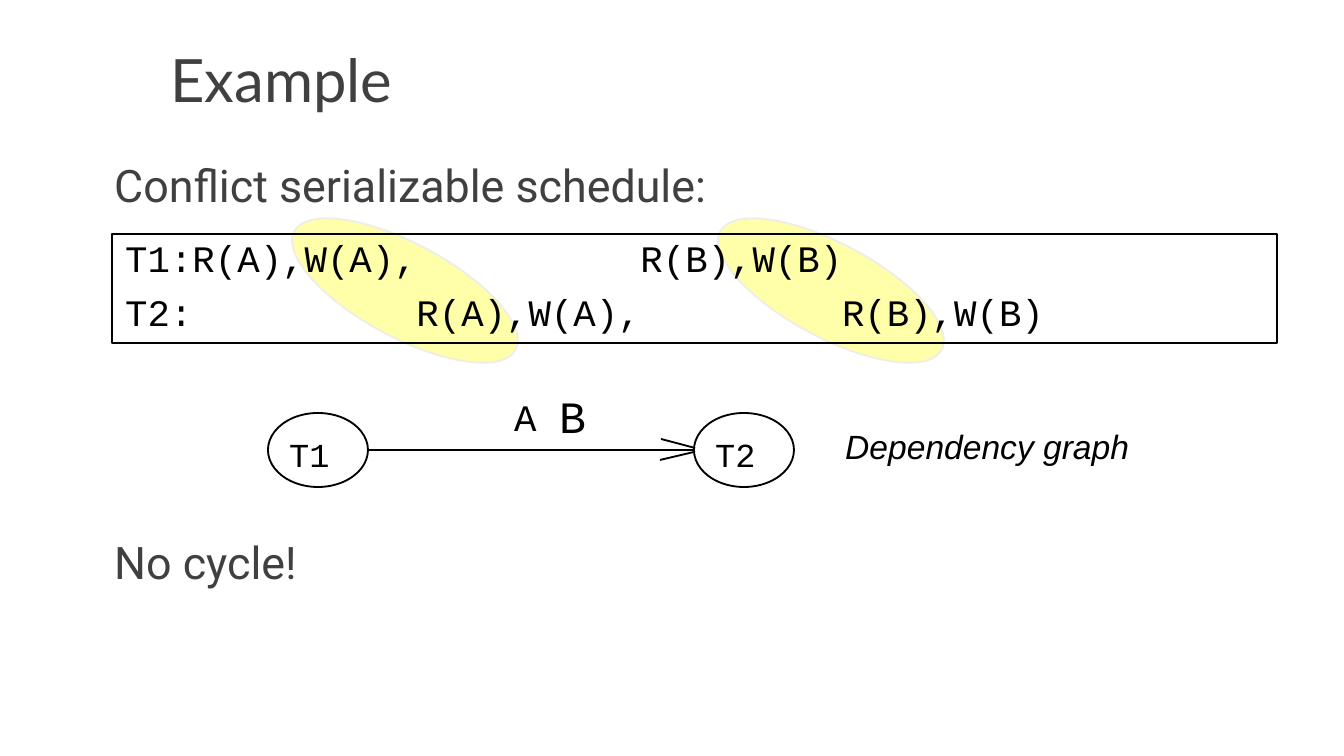
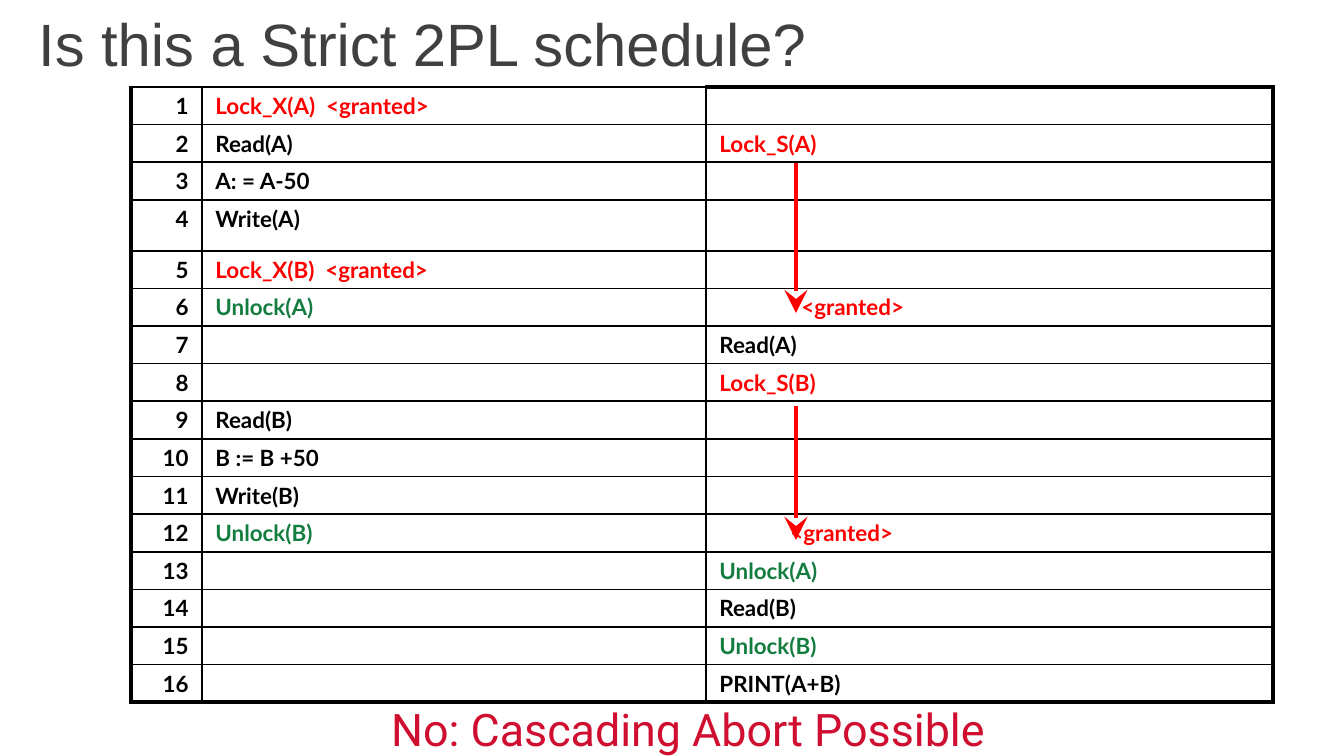
import pptx
import pptx.util
import pptx.dml.color
import pptx.enum.shapes
import pptx.enum.text
import pptx.oxml.ns
import lxml.etree

EMU_PER_PX = 914400 / 134.4
COLORS = {"text": "404040", "black": "000000", "red": "FF0000", "green": "137D40",
          "answer": "CF0E30", "highlight": "FFFFAA", "highlight_edge": "EEEDE7"}
MONO, SANS, LATO, BODY = "Courier New", "Arial", "Lato", "Roboto"
SHAPES = pptx.enum.shapes.MSO_SHAPE
ANCHOR = pptx.enum.text.MSO_ANCHOR


def px(n):
    """Turn pixels into EMU."""
    return pptx.util.Emu(round(n * EMU_PER_PX))


def rgb(name):
    """Look up a named colour."""
    return pptx.dml.color.RGBColor.from_string(COLORS[name])


def sub(parent, tag, **attrs):
    """Append a DrawingML child element."""
    return lxml.etree.SubElement(parent, pptx.oxml.ns.qn("a:" + tag), attrs)


def add_run(p, text, size, font, color, bold=False, italic=False):
    """Append one formatted run to a paragraph."""
    r = p.add_run()
    r.text = text
    r.font.size = pptx.util.Pt(size)
    r.font.name = font
    r.font.color.rgb = rgb(color)
    r.font.bold = bold
    r.font.italic = italic


def add_text(slide, box, text, size, font, color="black", wrap=False,
             anchor=ANCHOR.TOP, italic=False):
    """Add a text box with one paragraph and return its text frame."""
    tf = slide.shapes.add_textbox(*map(px, box)).text_frame
    tf.word_wrap = wrap
    tf.vertical_anchor = anchor
    add_run(tf.paragraphs[0], text, size, font, color, italic=italic)
    return tf


def add_title(slide, box, text, font):
    """Add a slide title, centred vertically in its box."""
    add_text(slide, box, text, 32, font, "text", True, ANCHOR.MIDDLE)


def add_outline(slide, kind, box, fill=None, line="black"):
    """Add a preset shape with a thin outline and an optional fill."""
    sp = slide.shapes.add_shape(kind, *map(px, box))
    sp.shadow.inherit = False
    if fill:
        sp.fill.solid()
        sp.fill.fore_color.rgb = rgb(fill)
    else:
        sp.fill.background()
    sp.line.color.rgb = rgb(line)
    sp.line.width = pptx.util.Pt(1)
    return sp


def add_line(slide, x1, y1, x2, y2, color="black", width=1, stealth=False):
    """Add a straight line, with a large stealth head if asked."""
    cx = slide.shapes.add_connector(pptx.enum.shapes.MSO_CONNECTOR.STRAIGHT,
                                    *map(px, (x1, y1, x2, y2)))
    cx.line.color.rgb = rgb(color)
    cx.line.width = pptx.util.Pt(width)
    if stealth:
        sub(cx.line._get_or_add_ln(), "tailEnd", type="stealth", w="lg", len="lg")
    sub(cx._element.spPr, "effectLst")


def add_highlights(slide, left, top):
    """Add the tilted ellipses that mark the two conflicts."""
    for dx in (0, 426):
        sp = add_outline(slide, SHAPES.OVAL, (left + dx, top, 94, 251),
                         "highlight", "highlight_edge")
        sp.rotation = 298.1


def add_body(slide, box):
    """Add the heading and the conclusion around the schedule and graph."""
    tf = add_text(slide, box, "Conflict serializable schedule:", 24, BODY, "text", True)
    tf.paragraphs[0].space_before = pptx.util.Pt(2)
    p = tf.add_paragraph()
    p.space_before = pptx.util.Pt(173)
    add_run(p, "No cycle!", 24, BODY, "text")


def add_schedule(slide, box):
    """Add the framed schedule, its operations aligned on character columns."""
    char_width = pptx.util.Pt(12)
    lines = [("T1:R(A),W(A),\tR(B),W(B)", (23,), 3),
             ("T2:\tR(A),W(A),\tR(B),W(B)", (13, 32), 7)]
    tf = add_outline(slide, SHAPES.RECTANGLE, box).text_frame
    tf.word_wrap = True
    tf.vertical_anchor = ANCHOR.TOP
    for i, (text, columns, before) in enumerate(lines):
        p = tf.add_paragraph() if i else tf.paragraphs[0]
        p.alignment = pptx.enum.text.PP_ALIGN.LEFT
        p.line_spacing = 0.9
        p.space_before = pptx.util.Pt(before)
        tabs = sub(p._p.get_or_add_pPr(), "tabLst")
        for column in columns:
            sub(tabs, "tab", pos=str(column * char_width), algn="l")
        add_run(p, text, 20, MONO, "black")


def add_graph(slide, left, top):
    """Add the dependency graph: two nodes, an open arrow and its labels."""
    for name, dx in (("T1", 0), ("T2", 426)):
        add_outline(slide, SHAPES.OVAL, (left + dx, top + 31, 100, 74))
        add_text(slide, (left + dx + 8, top + 45, 67, 54), name, 18, MONO)
    tip = left + 427
    add_line(slide, left + 100, top + 68, tip, top + 68)
    add_line(slide, tip - 34, top + 57, tip, top + 66)
    add_line(slide, tip - 35, top + 78, tip - 1, top + 70)
    add_text(slide, (left + 233, top + 6, 50, 58), "A", 20, MONO)
    add_text(slide, (left + 564, top + 37, 321, 54), "Dependency graph", 18, SANS, italic=True)
    add_text(slide, (left + 278, top, 54, 67), "B", 24, MONO)


# Each step: first transaction, second transaction, indent of the second
STEPS = [
    ("Lock_X(A)  <granted>", "", 0),
    ("Read(A)", "Lock_S(A)", 0),
    ("A: = A-50", "", 0),
    ("Write(A)", "", 0),
    ("Lock_X(B)  <granted>", "", 0),
    ("Unlock(A)", "<granted>", 82),
    ("", "Read(A)", 0),
    ("", "Lock_S(B)", 0),
    ("Read(B)", "", 0),
    ("B := B +50", "", 0),
    ("Write(B)", "", 0),
    ("Unlock(B)", "<granted>", 71),
    ("", "Unlock(A)", 0),
    ("", "Read(B)", 0),
    ("", "Unlock(B)", 0),
    ("", "PRINT(A+B)", 0),
]


def step_color(text):
    """Locks and grants are red, unlocks green, the rest black."""
    if text.startswith(("Lock", "<")):
        return "red"
    return "green" if text.startswith("Unlock") else "black"


def set_borders(cell, thick_sides):
    """Draw all four cell borders, the named sides thick."""
    tc_pr = cell._tc.get_or_add_tcPr()
    for i, side in enumerate("LRTB"):
        width = pptx.util.Pt(2.25 if side in thick_sides else 1)
        ln = sub(tc_pr, "ln" + side, w=str(width))
        sub(sub(ln, "solidFill"), "srgbClr", val=COLORS["black"])
        tc_pr.insert(i, ln)


def fill_cell(cell, text, indent=0, right=False):
    """Write one table cell."""
    cell.fill.background()
    cell.margin_left = cell.margin_right = pptx.util.Inches(0.1)
    cell.margin_top = cell.margin_bottom = pptx.util.Inches(0.04)
    p = cell.text_frame.paragraphs[0]
    if right:
        p.alignment = pptx.enum.text.PP_ALIGN.RIGHT
    if indent:
        p._p.get_or_add_pPr().set("marL", str(px(indent)))
    if text:
        add_run(p, text, 12, LATO, step_color(text), bold=True)
    else:
        sub(p._p, "endParaRPr", sz="1200")


def add_steps_table(slide, left, top):
    """Add the numbered steps of both transactions."""
    widths = (71, 504, 567)
    heights = [51 if i == 3 else 37 for i in range(len(STEPS))]
    table = slide.shapes.add_table(len(STEPS), 3, px(left), px(top),
                                   px(sum(widths)), px(sum(heights))).table
    table.first_row = table.horz_banding = False
    for column, width in zip(table.columns, widths):
        column.width = px(width)
    last = len(STEPS) - 1
    for i, (first, second, indent) in enumerate(STEPS):
        table.rows[i].height = px(heights[i])
        number, left_cell, right_cell = table.rows[i].cells
        fill_cell(number, str(i + 1), right=True)
        fill_cell(left_cell, first)
        fill_cell(right_cell, second, indent)
        bottom = "B" if i == last else ""
        set_borders(number, "L" + bottom)
        set_borders(left_cell, bottom)
        set_borders(right_cell, "R" + bottom + ("T" if i == 0 else ""))


def build_example(slide):
    """Build the conflict serializable example."""
    add_highlights(slide, 358, 165)
    add_title(slide, (157, 16, 1142, 126), "Example", LATO)
    add_body(slide, (101, 151, 1142, 546))
    add_graph(slide, 268, 382)
    add_schedule(slide, (112, 234, 1165, 109))


def build_locking(slide):
    """Build the two-phase locking question."""
    add_title(slide, (25, -20, 1301, 126), "Is this a Strict 2PL schedule?", SANS)
    add_steps_table(slide, 131, 87)
    add_text(slide, (378, 695, 695, 67), "No: Cascading Abort Possible", 24, BODY,
             "answer", True)
    for start, end in ((163, 313), (406, 540)):
        add_line(slide, 796, start, 796, end, "red", 2.5, stealth=True)


prs = pptx.Presentation()
prs.slide_width, prs.slide_height = px(1344), px(756)
for build in (build_example, build_locking):
    build(prs.slides.add_slide(prs.slide_layouts[6]))
prs.save("out.pptx")
